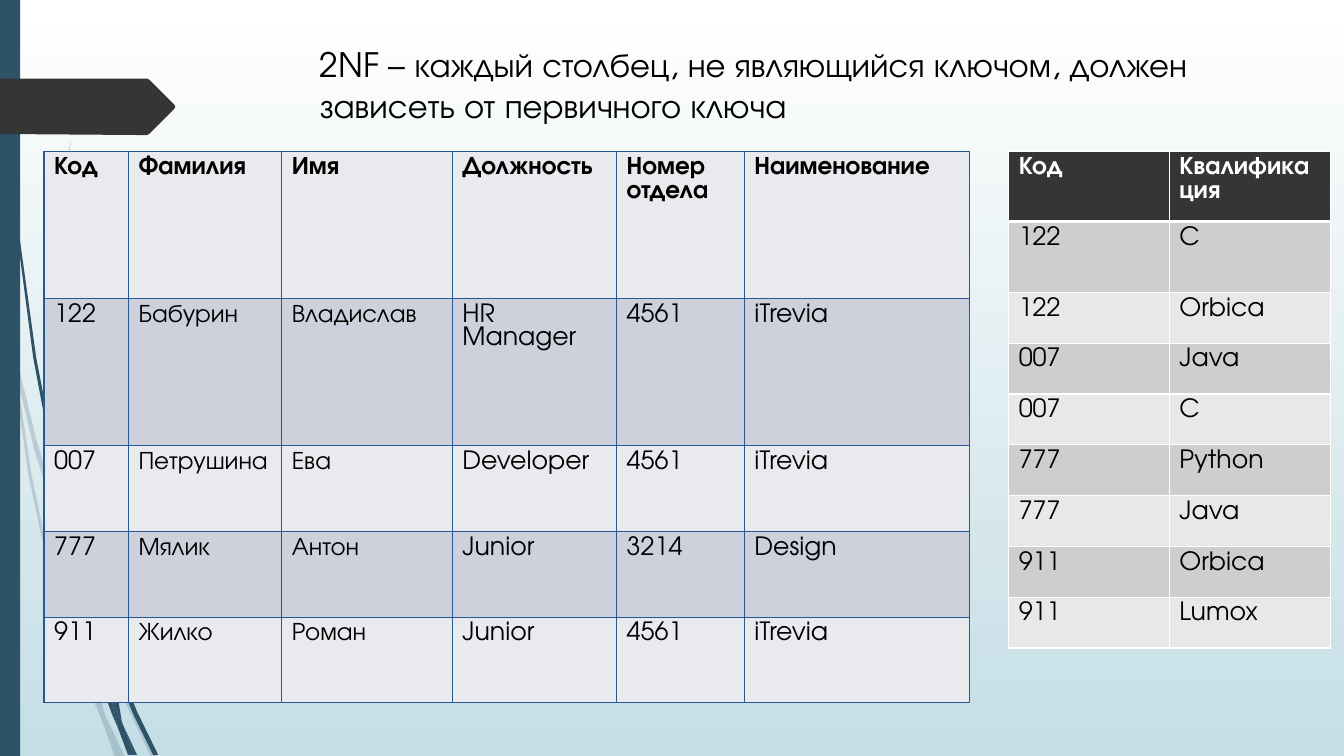
from lxml import etree
from pptx import Presentation, util as u
from pptx.dml.color import RGBColor
from pptx.enum import shapes, text
from pptx.oxml.ns import qn

HEX = {
    "dark": "353535", "blue": "2E5369", "line": "265991", "white": "FFFFFF",
    "black": "000000", "sky": "C5DEE5", "ice": "E8EAEE", "steel": "CDD1DC",
    "light": "E8E8E8", "grey": "CECECE",
}
FONT = "TeX Gyre Adventor"
UNIT = u.Cm(0.0254)  # grid step of the outlines


def paint(shape, tone, alpha=None):
    shape.shadow.inherit = False
    shape.fill.solid()
    shape.fill.fore_color.rgb = RGBColor.from_string(HEX[tone])
    shape.line.fill.background()
    if alpha:
        clr = shape._element.spPr.find(".//" + qn("a:srgbClr"))
        etree.SubElement(clr, qn("a:alpha"), val=str(alpha * 1000))


def style(para, size, tone, bold=False):
    look = {"name": FONT, "size": u.Pt(size), "bold": bold}
    for key, val in look.items():
        setattr(para.font, key, val)
    para.font.color.rgb = RGBColor.from_string(HEX[tone])
    para.line_spacing = 1.0
    para.alignment = text.PP_ALIGN.LEFT


prs = Presentation()
prs.slide_width, prs.slide_height = u.Cm(33.87), u.Cm(19.05)
slide = prs.slides.add_slide(prs.slide_layouts[5])

# Background fade from top to bottom
back = slide.background.fill
back.gradient()
back.gradient_angle = 270
for stop, tone, pos in zip(back.gradient_stops, ("white", "sky"), (0, 1)):
    stop.color.rgb = RGBColor.from_string(HEX[tone])
    stop.position = pos

# Wisps on the left edge, pale ones behind the dark ones
pale = [
    [(58, 522), (84, 599), (85, 586), (62, 520), (36, 436), (14, 345),
     (17, 376), (35, 450)],
    [(92, 607), (88, 596), (88, 610), (123, 694), (150, 751), (155, 751),
     (127, 692)],
    [(119, 751), (124, 751), (105, 711)],
    [(93, 683), (70, 619), (48, 551), (31, 469), (17, 376), (11, 350),
     (28, 470), (44, 546), (65, 621), (92, 693), (101, 714), (99, 707)],
    [(84, 599), (87, 646), (93, 683), (96, 692), (105, 711), (103, 706),
     (91, 646), (88, 610), (88, 608)],
    [(101, 714), (114, 751), (119, 751)],
    [(96, 692), (93, 683), (99, 707), (101, 714), (119, 751), (105, 711)],
]
deep = [
    [(7, 110), (17, 233), (33, 355), (56, 477), (57, 481), (55, 457),
     (55, 453), (36, 355), (19, 232), (8, 109), (5, 48), (4, 0), (3, 0),
     (4, 48)],
    [(113, 649), (110, 641), (111, 656), (132, 708), (152, 749), (157, 749),
     (136, 706)],
    [(110, 691), (98, 657), (83, 608), (72, 556), (64, 505), (57, 477),
     (68, 557), (79, 608), (93, 659), (111, 708), (117, 722), (116, 717)],
    [(60, 472), (58, 453), (54, 349), (58, 245), (63, 193), (70, 141),
     (62, 193), (56, 245), (52, 349), (55, 449)],
    [(133, 749), (136, 749), (122, 719)],
    [(117, 722), (127, 749), (131, 749)],
    [(106, 645), (110, 691), (116, 706), (122, 719), (121, 716), (111, 656),
     (109, 651)],
    [(116, 706), (110, 691), (116, 717), (117, 722), (130, 749), (133, 749),
     (122, 719)],
]
tag = [[(173, 108), (148, 133), (146, 134), (136, 134), (0, 133), (0, 78),
        (146, 78), (148, 79), (173, 104), (174, 106)]]


# Side bar stands between the wisps and the tag
for group, tone, alpha in ((pale, "blue", 20), (deep, "blue", None),
                           (tag, "dark", None)):
    if group is tag:
        bar = slide.shapes.add_shape(shapes.MSO_SHAPE.RECTANGLE, 0, 0,
                                     u.Cm(0.51), prs.slide_height)
        paint(bar, "blue")
    for pts in group:
        pen = slide.shapes.build_freeform(*pts[0], scale=UNIT)
        pen.add_line_segments(pts[1:], close=True)
        paint(pen.convert_to_shape(), tone, alpha)

# Title
title = slide.shapes.title
box = {"left": 7.8, "top": 0.99, "width": 23.55, "height": 2.31}
for key, val in box.items():
    setattr(title, key, u.Cm(val))
frame = title.text_frame
frame.text = ("2NF – каждый столбец, не являющийся ключом, должен "
              "зависеть от первичного ключа")
frame.word_wrap = True
frame.auto_size = text.MSO_AUTO_SIZE.NONE
frame.vertical_anchor = text.MSO_ANCHOR.TOP
style(frame.paragraphs[0], 24, "black")

# Tables: staff and skills
staff = {
    "left": 1.11, "cols": [2.13, 3.86, 4.3, 4.14, 3.22, 5.67],
    "rows": [3.71] * 2 + [2.16] * 3, "bands": ("ice", "steel"),
    "head": ("ice", "black"), "edge": "line", "rule": 1,
    "data": [
        ("Код", "Фамилия", "Имя", "Должность", "Номер отдела",
         "Наименование"),
        ("122", "Бабурин", "Владислав", "HR Manager", "4561", "iTrevia"),
        ("007", "Петрушина", "Ева", "Developer", "4561", "iTrevia"),
        ("777", "Мялик", "Антон", "Junior", "3214", "Design"),
        ("911", "Жилко", "Роман", "Junior", "4561", "iTrevia"),
    ],
}
skills = {
    "left": 25.42, "cols": [4.05] * 2, "rows": [1.77, 1.79] + [1.28] * 7,
    "bands": ("light", "grey"), "head": ("dark", "white"),
    "edge": "white", "rule": 3,
    "data": [("Код", "Квалификация"), ("122", "C"), ("122", "Orbica"),
             ("007", "Java"), ("007", "C"), ("777", "Python"),
             ("777", "Java"), ("911", "Orbica"), ("911", "Lumox")],
}
for part in (staff, skills):
    cols, rows = part["cols"], part["rows"]
    grid = slide.shapes.add_table(
        len(rows), len(cols), u.Cm(part["left"]), u.Cm(3.81),
        u.Cm(sum(cols)), u.Cm(sum(rows))).table
    for col, wide in zip(grid.columns, cols):
        col.width = u.Cm(wide)
    for r, (row, high) in enumerate(zip(grid.rows, rows)):
        row.height = u.Cm(high)
        fill, ink = part["head"] if r == 0 else (part["bands"][r % 2], "black")
        for cell, word in zip(row.cells, part["data"][r]):
            cell.text = word
            style(cell.text_frame.paragraphs[0], 18, ink, r == 0)
            cell.fill.solid()
            cell.fill.fore_color.rgb = RGBColor.from_string(HEX[fill])
            # Borders, with a heavier rule under the header
            props = cell._tc.get_or_add_tcPr()
            for i, side in enumerate("LRTB"):
                heavy = (r, side) in ((0, "B"), (1, "T"))
                thick = u.Pt(part["rule"] if heavy else 1)
                edge = etree.Element(qn("a:ln" + side), w=str(thick))
                solid = etree.SubElement(edge, qn("a:solidFill"))
                etree.SubElement(solid, qn("a:srgbClr"),
                                 val=HEX[part["edge"]])
                props.insert(i, edge)

prs.save("out.pptx")
